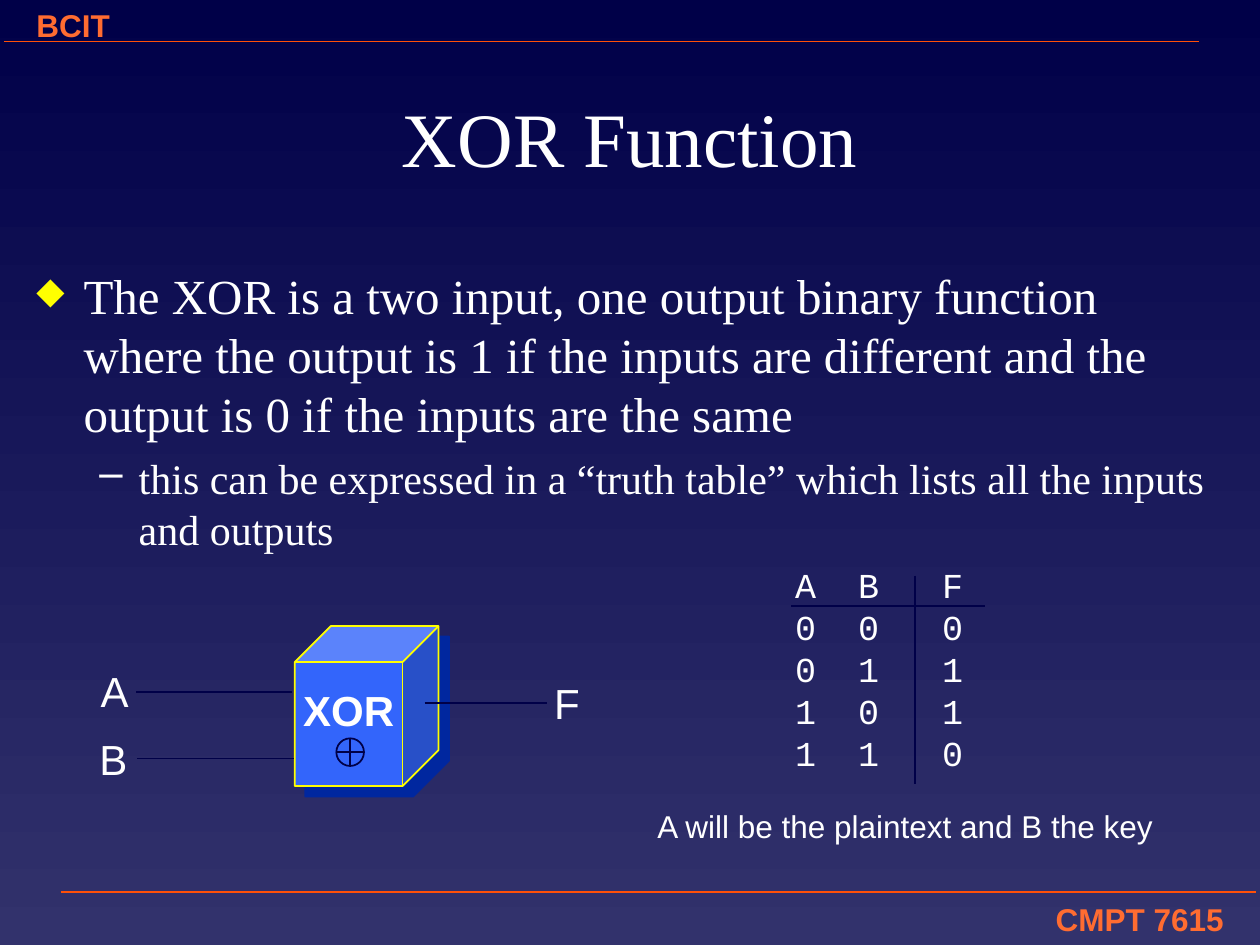
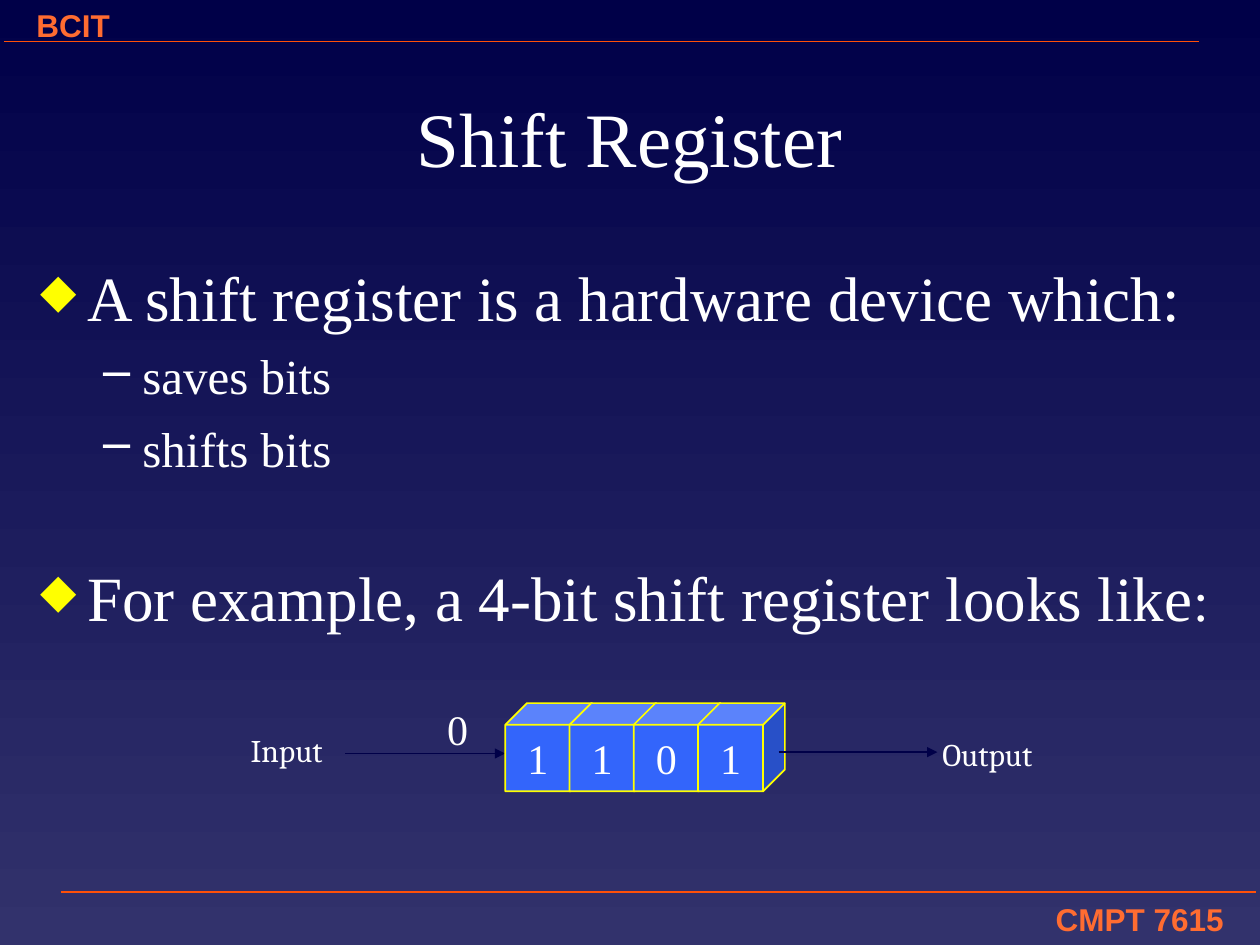
"""Build two lecture slides on the XOR function and the shift register."""
import dataclasses

import lxml.etree
import pptx
import pptx.dml.color
import pptx.enum.shapes
import pptx.enum.text
import pptx.oxml.ns
import pptx.util

Pt = pptx.util.Pt
SHAPE = pptx.enum.shapes.MSO_SHAPE
ALIGN = pptx.enum.text.PP_ALIGN
ANCHOR = pptx.enum.text.MSO_ANCHOR


@dataclasses.dataclass(frozen=True)
class Theme:
    """Colours, fonts and type sizes shared by the slides."""
    night: str = "000048"
    dusk: str = "32326C"
    white: str = "FFFFFF"
    orange: str = "FF6C31"
    rule: str = "FF5008"
    yellow: str = "FFFF00"
    blue: str = "3365FB"
    shade: str = "00279F"
    serif: str = "Times New Roman"
    sans: str = "Arial"
    mono: str = "Courier New"
    label: str = "Cambria"
    title_size: int = 44
    large: int = 36
    colon: int = 32
    medium: int = 28
    small: int = 24
    table_size: int = 20
    note: int = 18
    leading: float = 1.2


@dataclasses.dataclass(frozen=True)
class Box:
    """A region of the page, in points."""
    left: float
    top: float
    width: float
    height: float

    def within(self, left, top, width, height):
        """Return a box placed relative to this one."""
        return Box(self.left + left, self.top + top, width, height)

    def lengths(self):
        """Return the four lengths for a python-pptx call."""
        return [Pt(value) for value in (self.left, self.top, self.width, self.height)]


THEME = Theme()
BULLETS = [
    {"char": "◆", "color": THEME.yellow, "percent": 75, "margin": 27, "hang": 27},
    {"char": "–", "color": THEME.white, "percent": 100, "margin": 58.5, "hang": 22.5},
]


def rgb(code):
    """Return a colour from its hexadecimal code."""
    return pptx.dml.color.RGBColor.from_string(code)


def add_xml(parent, tag, **attributes):
    """Append a drawing element and return it."""
    names = {name: str(value) for name, value in attributes.items()}
    return lxml.etree.SubElement(parent, pptx.oxml.ns.qn(tag), names)


def add_bullet(para, level):
    """Give a paragraph the bullet and hanging indent of its level."""
    style = BULLETS[level]
    para.level = level
    props = para._p.get_or_add_pPr()
    props.set("marL", str(int(Pt(style["margin"]))))
    props.set("indent", str(-int(Pt(style["hang"]))))
    add_xml(add_xml(props, "a:buClr"), "a:srgbClr", val=style["color"])
    add_xml(props, "a:buSzPct", val=style["percent"] * 1000)
    add_xml(props, "a:buChar", char=style["char"])


def add_span(para, text, size, font, color, bold):
    """Append one formatted span to a paragraph."""
    span = para.add_run()
    span.text = text
    span.font.size, span.font.name, span.font.bold = Pt(size), font, bold
    span.font.color.rgb = rgb(color)


def write(frame, text, size=THEME.small, font=THEME.serif, color=THEME.white,
          bold=False, align=ALIGN.LEFT, level=None, before=0):
    """Write a formatted paragraph into a text frame and return it."""
    para = frame.paragraphs[0] if not frame.text else frame.add_paragraph()
    if level is not None:
        add_bullet(para, level)
    para.alignment = align
    para.line_spacing = Pt(size * THEME.leading)
    para.space_before = Pt(before)
    add_span(para, text, size, font, color, bold)
    return para


def set_insets(area, side, top):
    """Set the inner margins of a text frame or table cell."""
    area.margin_left = area.margin_right = Pt(side)
    area.margin_top = area.margin_bottom = Pt(top)


def add_frame(page, box, wrap=True, anchor=ANCHOR.TOP):
    """Add a text box and return its text frame."""
    frame = page.shapes.add_textbox(*box.lengths()).text_frame
    frame.word_wrap = wrap
    frame.vertical_anchor = anchor
    set_insets(frame, 7.2, 3.6)
    return frame


def add_label(page, box, text, **style):
    """Add a short label that does not wrap."""
    write(add_frame(page, box, wrap=False), text, **style)


def add_line(page, box, start, end, color=THEME.night, arrow=False):
    """Draw a line between two points given relative to a box."""
    ends = [Pt(base + shift) for point in (start, end)
            for base, shift in zip((box.left, box.top), point)]
    line = page.shapes.add_connector(pptx.enum.shapes.MSO_CONNECTOR.STRAIGHT, *ends)
    line.line.color.rgb = rgb(color)
    line.line.width = Pt(1)
    if arrow:
        add_xml(line.line._get_or_add_ln(), "a:tailEnd", type="triangle")
    add_xml(line._element.spPr, "a:effectLst")


def add_cube(page, box, text, top=0, anchor=ANCHOR.MIDDLE, **style):
    """Add a cube with text on its front face."""
    cube = page.shapes.add_shape(SHAPE.CUBE, *box.lengths())
    cube.adjustments[0] = 0.25
    cube.fill.solid()
    cube.fill.fore_color.rgb = rgb(THEME.blue)
    cube.line.color.rgb = rgb(THEME.yellow)
    cube.line.width = Pt(1)
    cube.shadow.inherit = False
    frame = cube.text_frame
    frame.word_wrap = False
    frame.vertical_anchor = anchor
    set_insets(frame, 0, 0)
    frame.margin_top = Pt(top)
    write(frame, text, align=ALIGN.CENTER, **style)
    return cube


def add_page(deck, box, title):
    """Add a page with its background, bands and title."""
    page = deck.slides.add_slide(deck.slide_layouts[6])
    fill = page.background.fill
    fill.gradient()
    fill.gradient_angle = 270
    for stop, color in zip(fill.gradient_stops, (THEME.night, THEME.dusk)):
        stop.color.rgb = rgb(color)
    band = {"size": THEME.note, "font": THEME.sans, "color": THEME.orange, "bold": True}
    write(add_frame(page, box.within(381.6, 510.5, 324.7, 28.8)), "CMPT 7615",
          align=ALIGN.RIGHT, **band)
    add_line(page, box, (34.6, 509.8), (717.8, 509.8), THEME.rule)
    write(add_frame(page, box.within(13.7, 0, 324.7, 28.8)), "BCIT", **band)
    add_line(page, box, (2.2, 23.8), (685.4, 23.8), THEME.rule)
    heading = add_frame(page, box.within(87.8, 30.2, 544.3, 95.8), anchor=ANCHOR.MIDDLE)
    write(heading, title, size=THEME.title_size, align=ALIGN.CENTER)
    return page


def add_truth_table(page, box):
    """Add the truth table of XOR with its two rules."""
    rows = ["ABF"] + [f"{a}{b}{a ^ b}" for a in (0, 1) for b in (0, 1)]
    widths = (36, 48, 24)
    height = THEME.table_size * THEME.leading
    place = box.within(7.2, 3.6, sum(widths), height * len(rows))
    table = page.shapes.add_table(len(rows), len(widths), *place.lengths()).table
    table.first_row = table.horz_banding = False
    style = table._tbl.tblPr.find(pptx.oxml.ns.qn("a:tableStyleId"))
    style.text = "{2D5ABB26-0587-4C30-8999-92F81FD0307C}"
    for column, width in zip(table.columns, widths):
        column.width = Pt(width)
    for row, values in zip(table.rows, rows):
        row.height = Pt(height)
        for cell, value in zip(row.cells, values):
            cell.fill.background()
            set_insets(cell, 0, 0)
            write(cell.text_frame, value, size=THEME.table_size, font=THEME.mono)
    add_line(page, box, (5.1, 25.9), (116, 25.9))
    add_line(page, box, (75.6, 8.6), (75.6, 127.4))


def add_xor_gate(page, box):
    """Draw the XOR gate with its inputs and output."""
    cube = add_cube(page, box.within(118.8, 0, 82.1, 91.4), "XOR", top=13,
                    anchor=ANCHOR.TOP, font=THEME.sans, bold=True)
    effects = cube._element.spPr.find(pptx.oxml.ns.qn("a:effectLst"))
    shadow = add_xml(effects, "a:outerShdw", dist=int(Pt(8.5)), dir=45 * 60000,
                     algn="ctr", rotWithShape=0)
    add_xml(shadow, "a:srgbClr", val=THEME.shade)
    wires = [("A", 0.7, 18.8, 28.1, 117.3, 37.5), ("B", 0, 57.6, 28.8, 118.1, 75.6),
             ("F", 259.9, 26, 192.9, 262.8, 44)]
    for name, left, top, start, end, height in wires:
        add_line(page, box, (start, height), (end, height))
        add_label(page, box.within(left, top, 30, 36), name, font=THEME.sans)
    ring_box = box.within(142.5, 64.1, 15.8, 15.8)
    ring = page.shapes.add_shape(SHAPE.OVAL, *ring_box.lengths())
    ring.fill.background()
    ring.line.color.rgb = rgb(THEME.night)
    ring.line.width = Pt(1)
    ring.shadow.inherit = False
    add_line(page, ring_box, (0, 7.9), (15.8, 7.9))
    add_line(page, ring_box, (7.9, 0), (7.9, 15.8))


def add_shift_register(page, box):
    """Draw the four-bit register with its input and output."""
    label = {"size": THEME.note, "font": THEME.label}
    add_line(page, box, (61.2, 32.4), (152.6, 32.4), arrow=True)
    add_label(page, box.within(0, 15.8, 61.2, 28.8), "Input", **label)
    for index, bit in enumerate("1101"):
        add_cube(page, box.within(152.6 + 36.7 * index, 3.6, 49.7, 50.4), bit)
    add_label(page, box.within(395.3, 18, 74.2, 28.8), "Output", **label)
    add_line(page, box, (308.9, 31.6), (399.6, 31.6), arrow=True)
    add_label(page, box.within(112.3, 0, 25.9, 36), "0")


def build_xor_page(deck, box):
    """Build the page on the XOR function."""
    page = add_page(deck, box, "XOR Function")
    body = add_frame(page, box.within(13.7, 148.3, 692.6, 200.9))
    write(body, "The XOR is a two input, one output binary function where the output is 1 "
          "if the inputs are different and the output is 0 if the inputs are the same",
          size=THEME.medium, level=0)
    write(body, "this can be expressed in a “truth table” which lists all the inputs "
          "and outputs", level=1, before=6)
    add_truth_table(page, box.within(447.1, 320.4, 117, 127.4))
    add_label(page, box.within(368.6, 457.9, 298.8, 28.8),
              "A will be the plaintext and B the key", size=THEME.note, font=THEME.sans)
    add_xor_gate(page, box.within(49.7, 357.8, 288.7, 91.4))


def build_register_page(deck, box):
    """Build the page on the shift register."""
    page = add_page(deck, box, "Shift Register")
    body = add_frame(page, box.within(15.8, 144, 685.4, 252))
    write(body, "A shift register is a hardware device which:", size=THEME.large, level=0)
    write(body, "saves bits", size=THEME.medium, level=1, before=7)
    write(body, "shifts bits", size=THEME.medium, level=1, before=8)
    example = write(body, "For example, a 4-bit shift register looks like",
                    size=THEME.large, level=0, before=46.4)
    add_span(example, ":", THEME.colon, THEME.serif, THEME.white, False)
    add_shift_register(page, box.within(136.1, 398.2, 469.5, 54))


def main():
    """Build and save the deck."""
    deck = pptx.Presentation()
    box = Box(0, 0, 720, 540)
    deck.slide_width, deck.slide_height = Pt(box.width), Pt(box.height)
    build_xor_page(deck, box)
    build_register_page(deck, box)
    deck.save("out.pptx")


if __name__ == "__main__":
    main()
